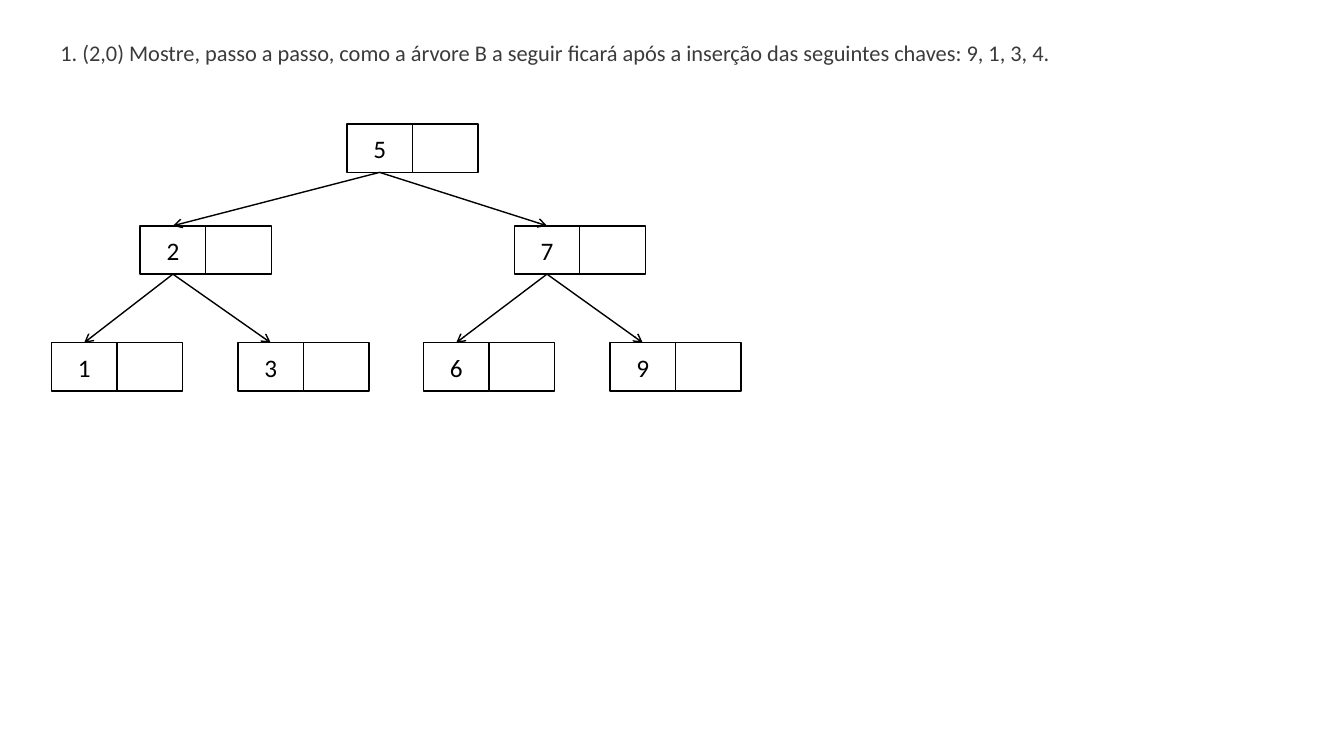
from lxml import etree
from pptx import Presentation
from pptx.dml.color import RGBColor
from pptx.enum import shapes, text
from pptx.oxml.ns import qn
from pptx.util import Inches, Pt

BLACK = RGBColor(0x00, 0x00, 0x00)
GRAY = RGBColor(0x3B, 0x3B, 0x3B)
FONT = "Calibri"
CELL_WIDTH, CELL_HEIGHT = 0.65, 0.48
CELLS_PER_NODE = 2

QUESTION = ("1. (2,0) Mostre, passo a passo, como a árvore B a seguir ficará "
            "após a inserção das seguintes chaves: 9, 1, 3, 4.")

# Tree nodes by key: left and top relative to the tree's box
NODES = {
    "5": (2.93, 0),
    "2": (0.88, 1.01), "7": (4.59, 1.01),
    "1": (0, 2.17), "3": (1.85, 2.17), "6": (3.69, 2.17), "9": (5.54, 2.17),
}
CHILDREN = {"5": "27", "2": "13", "7": "69"}


def add_span(para, content, size, color):
    span = para.add_run()
    span.text = content
    span.font.name = FONT
    span.font.size = Pt(size)
    span.font.color.rgb = color


def add_question(page, left, top, width, height):
    box = page.shapes.add_textbox(
        Inches(left), Inches(top), Inches(width), Inches(height))
    frame = box.text_frame
    frame.word_wrap = True
    frame.auto_size = text.MSO_AUTO_SIZE.SHAPE_TO_FIT_TEXT
    add_span(frame.paragraphs[0], QUESTION, 16, GRAY)


def add_node(page, key, left, top):
    """Draw one row of cells, with the key in the first."""
    for column in range(CELLS_PER_NODE):
        cell = page.shapes.add_shape(
            shapes.MSO_SHAPE.RECTANGLE,
            Inches(left + column * CELL_WIDTH), Inches(top),
            Inches(CELL_WIDTH), Inches(CELL_HEIGHT))
        cell.shadow.inherit = False
        cell.fill.background()
        cell.line.color.rgb = BLACK
        cell.line.width = Pt(1)
        if column == 0:
            frame = cell.text_frame
            frame.vertical_anchor = text.MSO_ANCHOR.MIDDLE
            para = frame.paragraphs[0]
            para.alignment = text.PP_ALIGN.CENTER
            add_span(para, key, 18, BLACK)


def add_arrow(page, start, end):
    arrow = page.shapes.add_connector(
        shapes.MSO_CONNECTOR.STRAIGHT, *map(Inches, (*start, *end)))
    arrow.line.color.rgb = BLACK
    arrow.line.width = Pt(1)
    properties = arrow.element.spPr
    etree.SubElement(properties.find(qn("a:ln")), qn("a:tailEnd"), type="arrow")
    etree.SubElement(properties, qn("a:effectLst"))


def add_tree(page, left, top):
    # Nodes
    for key, (x, y) in NODES.items():
        add_node(page, key, left + x, top + y)

    # Arrows from below each parent's key to above each child's key
    for parent, children in CHILDREN.items():
        x, y = NODES[parent]
        start = (left + x + CELL_WIDTH / 2, top + y + CELL_HEIGHT)
        for child in children:
            x, y = NODES[child]
            add_arrow(page, start, (left + x + CELL_WIDTH / 2, top + y))


def main():
    deck = Presentation()
    deck.slide_width, deck.slide_height = Inches(13.33), Inches(7.5)
    page = deck.slides.add_slide(deck.slide_layouts[6])
    add_question(page, 0.5, 0.34, 12.45, 0.37)
    add_tree(page, 0.51, 1.23)
    deck.save("out.pptx")


if __name__ == "__main__":
    main()
